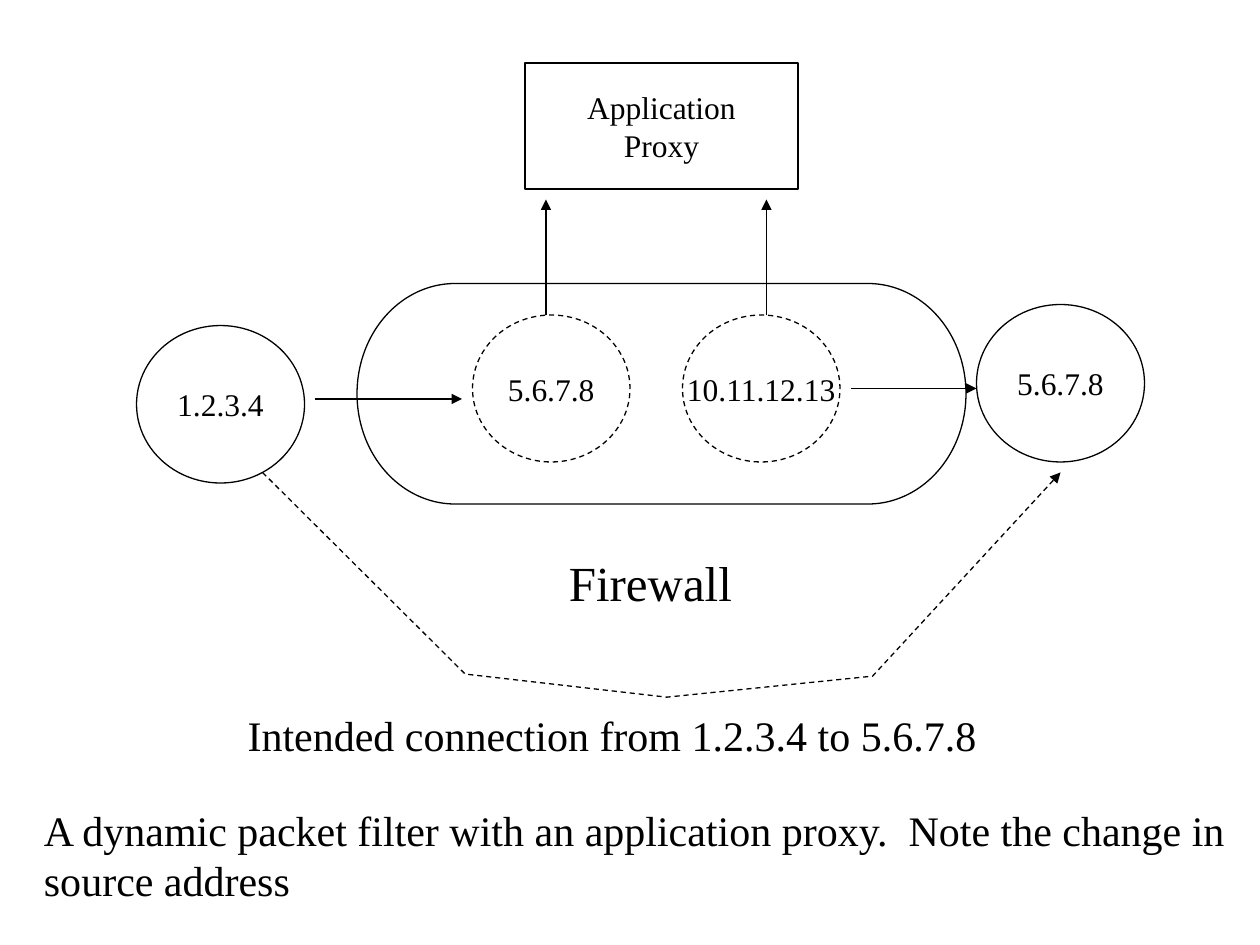
from lxml.etree import SubElement
from pptx import Presentation
from pptx.dml.color import RGBColor
from pptx.enum.dml import MSO_LINE
from pptx.enum.shapes import MSO_CONNECTOR, MSO_SHAPE
from pptx.enum.text import MSO_ANCHOR, MSO_AUTO_SIZE, PP_ALIGN
from pptx.oxml.ns import qn
from pptx.util import Inches, Pt

COLS, ROWS = 120, 90
WIDE, HIGH = Inches(10), Inches(7.5)


def color(code):
    return RGBColor.from_string(code)


def grid(col, row):
    """Turn columns and rows into slide lengths."""
    return round(WIDE * col / COLS), round(HIGH * row / ROWS)


def write(frame, text, size=18, align=PP_ALIGN.LEFT, anchor=MSO_ANCHOR.TOP,
          wrap=False, ink="000000", font="Times New Roman"):
    frame.word_wrap = wrap
    frame.vertical_anchor = anchor
    para = frame.paragraphs[0]
    para.text = text
    para.alignment = align
    for run in para.runs:
        run.font.size = Pt(size)
        run.font.name = font
        run.font.color.rgb = color(ink)


class Sketch:
    """Holds the line style and the slide being drawn."""

    def __init__(self, slide, ink="000000", width=0.75):
        self.shapes = slide.shapes
        self.ink = ink
        self.width = width

    def stroke(self, item, dash=False, head=False):
        line = item.line
        line.color.rgb = color(self.ink)
        line.width = Pt(self.width)
        if dash:
            line.dash_style = MSO_LINE.DASH
        if head:
            SubElement(line._get_or_add_ln(), qn("a:tailEnd"), type="triangle")

    def shape(self, kind, col, row, cols, rows, text="", dash=False):
        item = self.shapes.add_shape(kind, *grid(col, row), *grid(cols, rows))
        item.shadow.inherit = False
        item.fill.background()
        self.stroke(item, dash)
        if text:
            write(item.text_frame, text, align=PP_ALIGN.CENTER,
                  anchor=MSO_ANCHOR.MIDDLE)

    def host(self, col, row, cols, rows, text, dash=False):
        self.shape(MSO_SHAPE.FLOWCHART_CONNECTOR, col, row, cols, rows,
                   text, dash)

    def arrow(self, start, end):
        item = self.shapes.add_connector(
            MSO_CONNECTOR.STRAIGHT, *grid(*start), *grid(*end))
        self.stroke(item, head=True)
        SubElement(item._element.spPr, qn("a:effectLst"))

    def route(self, first, *rest):
        pen = self.shapes.build_freeform(*grid(*first))
        pen.add_line_segments([grid(*spot) for spot in rest], close=False)
        item = pen.convert_to_shape()
        item.shadow.inherit = False
        item.fill.background()
        self.stroke(item, dash=True, head=True)

    def label(self, col, row, cols, rows, text, size=24, wrap=False):
        item = self.shapes.add_textbox(*grid(col, row), *grid(cols, rows))
        write(item.text_frame, text, size=size, wrap=wrap)
        item.text_frame.auto_size = MSO_AUTO_SIZE.SHAPE_TO_FIT_TEXT


def main():
    deck = Presentation()
    deck.slide_width, deck.slide_height = WIDE, HIGH
    art = Sketch(deck.slides.add_slide(deck.slide_layouts[6]))

    art.host(13, 31, 16, 15, "1.2.3.4")
    art.host(93, 29, 16, 15, "5.6.7.8")
    art.host(65, 30, 15, 14, "10.11.12.13", dash=True)
    art.host(45, 30, 15, 14, "5.6.7.8", dash=True)
    art.shape(MSO_SHAPE.FLOWCHART_TERMINATOR, 34, 27, 58, 21)
    art.shape(MSO_SHAPE.FLOWCHART_PROCESS, 50, 6, 26, 12,
              "Application\nProxy")

    art.arrow((30, 38), (44, 38))
    art.arrow((81, 37), (93, 37))
    for col in (52, 73):
        art.arrow((col, 30), (col, 19))
    art.route((25, 45), (44.3, 64.2), (63.5, 66.4), (83.1, 64.4), (101, 45))

    art.label(53, 52, 20.8, 6.8, "Firewall", size=28)
    art.label(22.4, 67, 82.9, 6, "Intended connection from 1.2.3.4 to 5.6.7.8")
    art.label(3, 76, 117, 10.8,
              "A dynamic packet filter with an application proxy.  "
              "Note the change in source address", wrap=True)
    deck.save("out.pptx")


if __name__ == "__main__":
    main()
